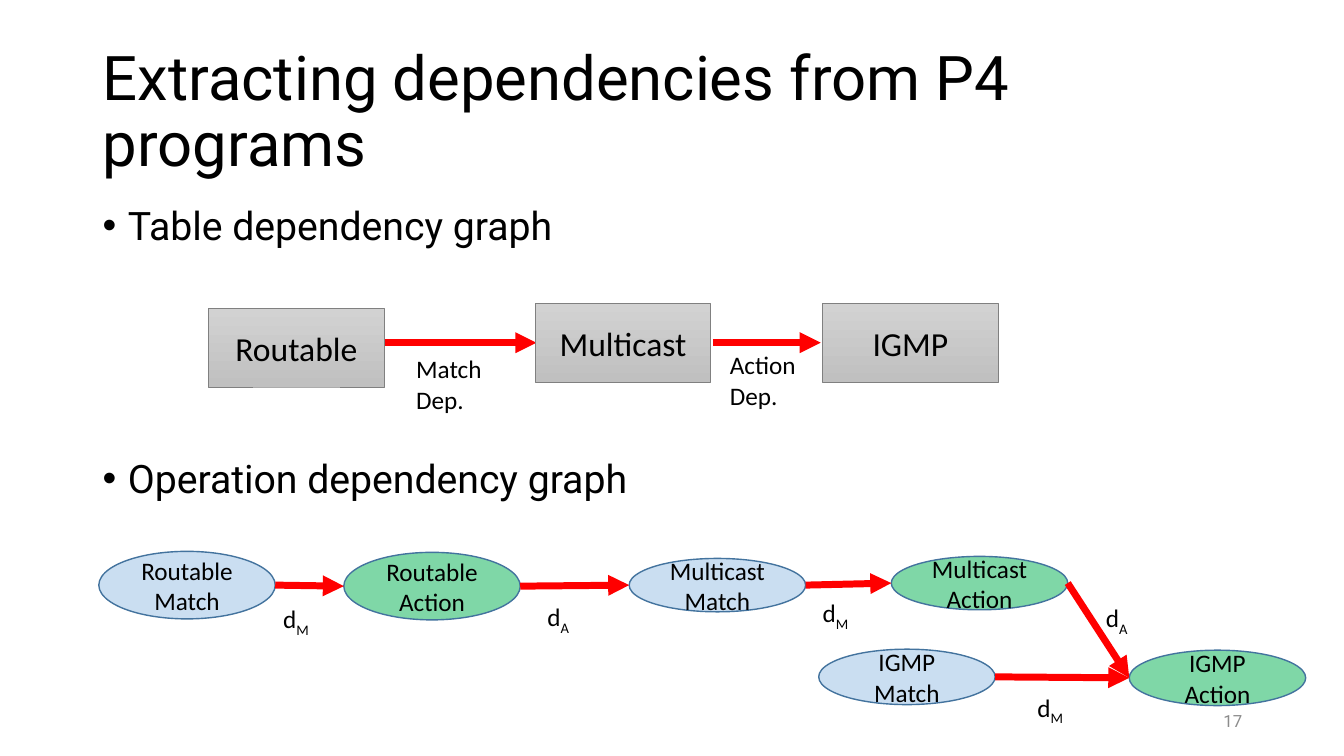
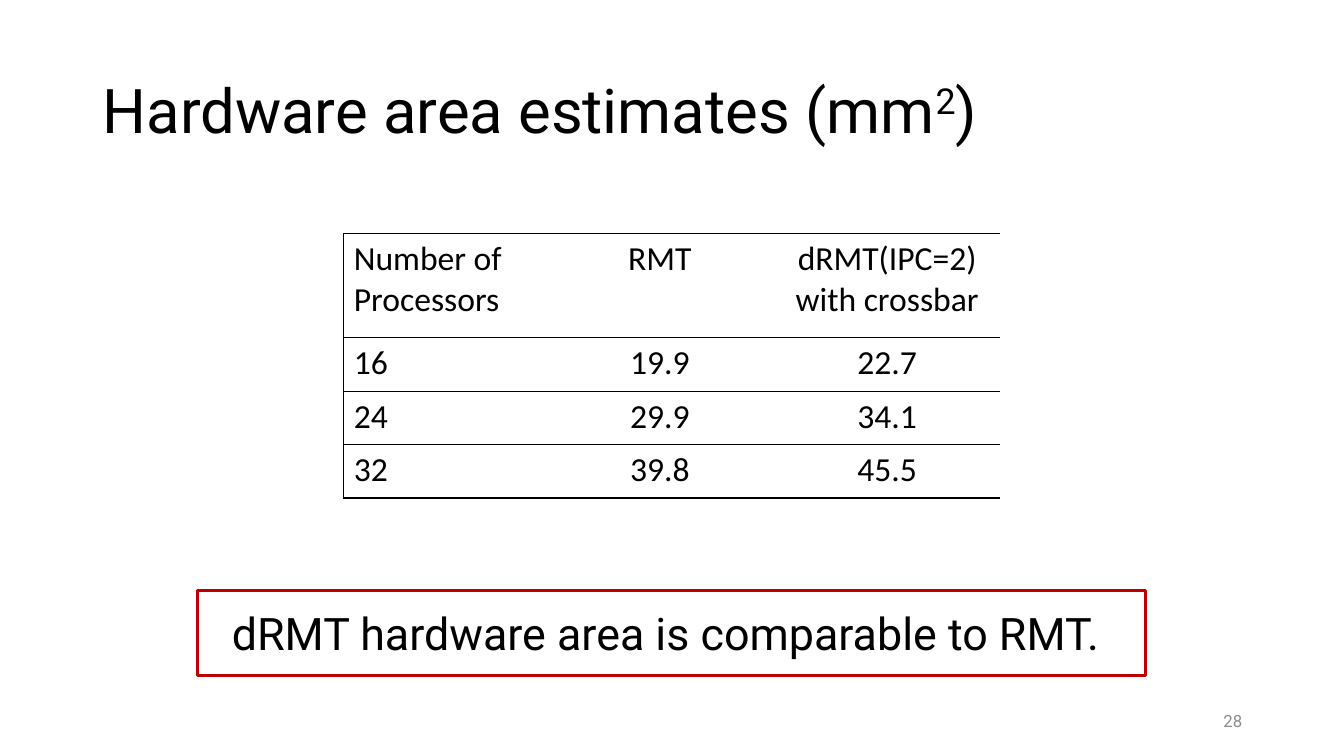
from collections import namedtuple

from lxml.etree import SubElement
from pptx import Presentation
from pptx.dml.color import RGBColor
from pptx.enum.shapes import MSO_CONNECTOR, MSO_SHAPE
from pptx.enum.text import MSO_ANCHOR, MSO_AUTO_SIZE, PP_ALIGN
from pptx.oxml.ns import qn
from pptx.util import Pt

PX = 9144
BLACK = RGBColor(0x00, 0x00, 0x00)
WHITE = RGBColor(0xFF, 0xFF, 0xFF)
GREY_TEXT = RGBColor(0x8C, 0x8C, 0x8C)
GREY_TOP = RGBColor(0xD2, 0xD2, 0xD2)
GREY_BOTTOM = RGBColor(0xC0, 0xC0, 0xC0)
GREY_EDGE = RGBColor(0x80, 0x80, 0x80)
ARROW_RED = RGBColor(0xFF, 0x00, 0x00)
CALLOUT_RED = RGBColor(0xC0, 0x00, 0x00)
MATCH_BLUE = RGBColor(0x5B, 0x9B, 0xD5)
ACTION_GREEN = RGBColor(0x00, 0xB0, 0x50)
NODE_EDGE = RGBColor(0x43, 0x73, 0x9E)
HEAD_FONT, BODY_FONT = "Roboto", "Calibri"
NO_TABLE_STYLE = "{2D5ABB26-0587-4C30-8999-92F81FD0307C}"
SUBSCRIPT, SUPERSCRIPT = -25000, 30000

Box = namedtuple("Box", "x y w h")


def emu(*lengths):
    return [int(length * PX) for length in lengths]


def write(frame, lines, size, font=BODY_FONT, color=BLACK, align=PP_ALIGN.LEFT,
          anchor=MSO_ANCHOR.TOP, spacing=None, wrap=True):
    frame.word_wrap = wrap
    frame.auto_size = MSO_AUTO_SIZE.NONE if wrap else MSO_AUTO_SIZE.SHAPE_TO_FIT_TEXT
    frame.vertical_anchor = anchor
    for index, line in enumerate(lines):
        paragraph = frame.add_paragraph() if index else frame.paragraphs[0]
        paragraph.alignment = align
        paragraph.line_spacing = spacing
        paragraph.font.size = Pt(size)
        paragraph.font.name = font
        paragraph.font.color.rgb = color
        for text, baseline in [(line, 0)] if isinstance(line, str) else line:
            run = paragraph.add_run()
            run.text = text
            if baseline:
                run._r.get_or_add_rPr().set("baseline", str(baseline))


def add_text(slide, box, lines, size, **style):
    frame = slide.shapes.add_textbox(*emu(*box)).text_frame
    write(frame, lines, size, **style)
    return frame


def add_node(slide, preset, box, lines, size, edge, edge_width, font=BODY_FONT):
    node = slide.shapes.add_shape(preset, *emu(*box))
    node.shadow.inherit = False
    node.line.color.rgb = edge
    node.line.width = Pt(edge_width)
    write(node.text_frame, lines, size, font, align=PP_ALIGN.CENTER, anchor=MSO_ANCHOR.MIDDLE)
    return node


def add_arrow(slide, start, end):
    arrow = slide.shapes.add_connector(MSO_CONNECTOR.STRAIGHT, *emu(*start, *end))
    arrow.line.color.rgb = ARROW_RED
    arrow.line.width = Pt(5)
    SubElement(arrow.line._get_or_add_ln(), qn("a:tailEnd"), type="triangle")
    SubElement(arrow._element.spPr, qn("a:effectLst"))


def start_slide(deck, title_line, number):
    slide = deck.slides.add_slide(deck.slide_layouts[5])
    title = slide.shapes.title
    title.left, title.top, title.width, title.height = emu(92, 40, 1150, 145)
    write(title.text_frame, [title_line], 44, HEAD_FONT, anchor=MSO_ANCHOR.MIDDLE, spacing=0.9)
    add_text(slide, Box(942, 695, 300, 40), [number], 12, font=HEAD_FONT, color=GREY_TEXT,
             align=PP_ALIGN.RIGHT, anchor=MSO_ANCHOR.MIDDLE)
    return slide


def add_bullet(slide, box, text):
    frame = add_text(slide, Box(box.x, box.y, box.w, 60), [text], 28, font=HEAD_FONT, spacing=0.9)
    paragraph = frame.paragraphs[0]
    paragraph.space_before = Pt(10)
    properties = paragraph._p.get_or_add_pPr()
    indent = 25 * PX
    properties.set("marL", str(indent))
    properties.set("indent", str(-indent))
    bullet_font = properties.makeelement(qn("a:buFont"), {"typeface": "Arial"})
    bullet = properties.makeelement(qn("a:buChar"), {"char": "•"})
    for part in (bullet_font, bullet):
        properties.find(qn("a:defRPr")).addprevious(part)


def table_graph(slide, box):
    add_bullet(slide, box, "Table dependency graph")
    arrow_y = box.y + 140
    for x, end in ((289, 440), (615, 722)):
        add_arrow(slide, (box.x + x, arrow_y), (box.x + end, arrow_y))
    for name, x, y in (("Routable", 115, 106), ("Multicast", 439, 101), ("IGMP", 724, 101)):
        table = add_node(slide, MSO_SHAPE.RECTANGLE, Box(box.x + x, box.y + y, 174, 78),
                         [name], 24, GREY_EDGE, 0.5)
        table.fill.gradient()
        table.fill.gradient_angle = 270
        for stop, color in zip(table.fill.gradient_stops, (GREY_TOP, GREY_BOTTOM)):
            stop.color.rgb = color
    for kind, x, y in (("Match", 311, 146), ("Action", 622, 142)):
        add_text(slide, Box(box.x + x, box.y + y, 86, 71), [kind, "Dep."], 18, wrap=False)


def operation_graph(slide, box):
    add_bullet(slide, box, "Operation dependency graph")
    looks = {"Match": (MATCH_BLUE, 32000), "Action": (ACTION_GREEN, 50000)}
    operations = (
        ("Routable", "Match", 6, 96, 67),
        ("Routable", "Action", 249, 97, 67),
        ("Multicast", "Match", 532, 103, 53),
        ("Multicast", "Action", 792, 101, 53),
        ("IGMP", "Match", 720, 193, 55),
        ("IGMP", "Action", 1028, 194, 55),
    )
    places = {}
    for table, kind, x, y, height in operations:
        place = Box(box.x + x, box.y + y, 175, height)
        node = add_node(slide, MSO_SHAPE.OVAL, place, [table, kind], 18, NODE_EDGE, 1)
        color, opacity = looks[kind]
        node.fill.solid()
        node.fill.fore_color.rgb = color
        SubElement(node._element.spPr.find(".//" + qn("a:srgbClr")), qn("a:alpha"),
                   val=str(opacity))
        places[table, kind] = place
    dependencies = (
        (("Routable", "Match"), ("Routable", "Action"), "M", 179, 143),
        (("Routable", "Action"), ("Multicast", "Match"), "A", 441, 141),
        (("Multicast", "Match"), ("Multicast", "Action"), "M", 714, 137),
        (("Multicast", "Action"), ("IGMP", "Action"), "A", 995, 142),
        (("IGMP", "Match"), ("IGMP", "Action"), "M", 927, 231),
    )
    for source, target, kind, x, y in dependencies:
        tail, head = places[source], places[target]
        add_arrow(slide, (tail.x + tail.w, tail.y + tail.h / 2), (head.x, head.y + head.h / 2))
        add_text(slide, Box(box.x + x, box.y + y, 48 if kind == "M" else 43, 40),
                 [[("d", 0), (kind, SUBSCRIPT)]], 18, wrap=False)


def add_border(cell, side):
    line = SubElement(cell._tc.get_or_add_tcPr(), qn("a:" + side), w=str(Pt(1)))
    fill = SubElement(line, qn("a:solidFill"))
    SubElement(fill, qn("a:srgbClr"), val=str(BLACK))


def area_table(slide, box):
    rows = (
        ("Number of Processors", "RMT", "dRMT(IPC=2) with crossbar"),
        ("16", "19.9", "22.7"),
        ("24", "29.9", "34.1"),
        ("32", "39.8", "45.5"),
    )
    ruled_rows = (0, 1, 3)
    areas = slide.shapes.add_table(len(rows), len(rows[0]), *emu(*box)).table
    areas.first_row = areas.horz_banding = False
    areas._tbl.tblPr.find(qn("a:tableStyleId")).text = NO_TABLE_STYLE
    for column, width in zip(areas.columns, emu(200, 227, 224)):
        column.width = width
    for row, height in zip(areas.rows, emu(103, 53, 53, 53)):
        row.height = height
    for r, values in enumerate(rows):
        for c, value in enumerate(values):
            cell = areas.cell(r, c)
            write(cell.text_frame, [value], 24, align=PP_ALIGN.CENTER if c else PP_ALIGN.LEFT)
            for side, shown in (("lnL", c == 0), ("lnT", r == 0 or r - 1 in ruled_rows),
                                ("lnB", r in ruled_rows)):
                if shown:
                    add_border(cell, side)
            cell.fill.background()


def callout(slide, box):
    conclusion = add_node(slide, MSO_SHAPE.RECTANGLE, box,
                          ["dRMT hardware area is comparable to RMT. "], 32,
                          CALLOUT_RED, 2, HEAD_FONT)
    conclusion.fill.solid()
    conclusion.fill.fore_color.rgb = WHITE


def main():
    deck = Presentation()
    deck.slide_width, deck.slide_height = emu(1333, 750)

    dependencies = start_slide(deck, "Extracting dependencies from P4 programs", "17")
    table_graph(dependencies, Box(92, 200, 1150, 220))
    operation_graph(dependencies, Box(92, 451, 1150, 260))

    hardware = start_slide(
        deck, [("Hardware area estimates (mm", 0), ("2", SUPERSCRIPT), (")", 0)], "28")
    area_table(hardware, Box(341, 232, 651, 262))
    callout(hardware, Box(196, 586, 940, 84))

    deck.save("out.pptx")


if __name__ == "__main__":
    main()
